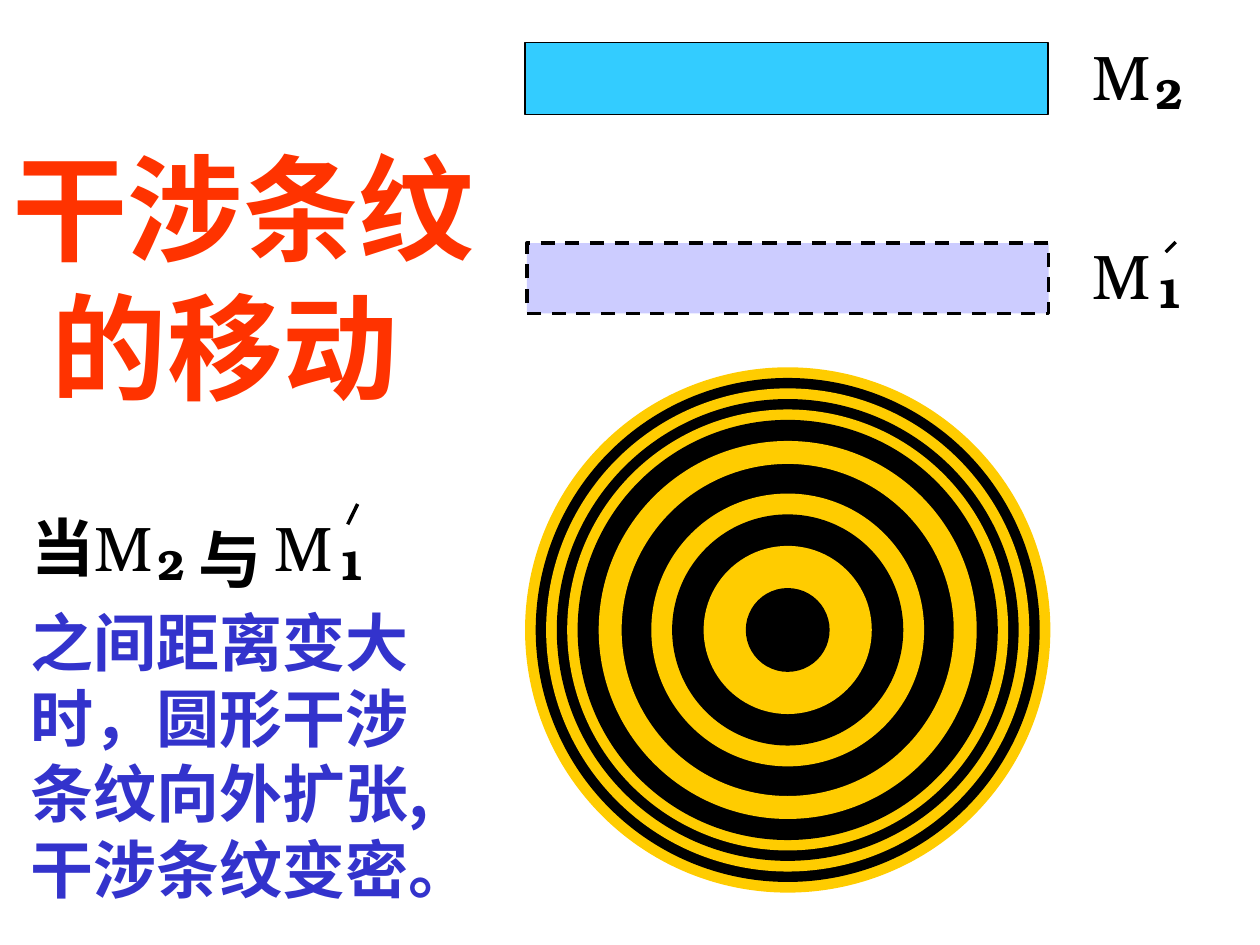
"""Build a slide on how circular interference fringes move as two mirrors separate."""
from lxml import etree
from pptx import Presentation
from pptx import util as u
from pptx.dml.color import RGBColor
from pptx.enum import dml, shapes, text
from pptx.oxml.ns import qn

COLORS = {"gold": "FFCC00", "black": "000000", "mirror": "33CCFF",
          "image": "CCCCFF", "title": "FF3300", "body": "3333CC"}
SERIF, SANS = "TeX Gyre Bonum", "Noto Sans CJK SC"

RING_CENTER = (15.88, 12.7)
RING_DIAMETERS = [10.59, 10.16, 9.74, 9.31, 8.89, 8.47, 7.62, 6.73, 5.5, 4.66, 3.39, 1.69]
OUTLINED_RING = 6.73

MIRRORS = [((10.59, 0.86, 10.54, 1.45), "mirror", 1, None),
           ((10.62, 4.9, 10.52, 1.42), "image", 2, dml.MSO_LINE.DASH)]
MIRROR_LABELS = [(21.77, 0.64, "2"), (21.77, 4.65, "1"),
                 (1.65, 10.13, "2"), (5.28, 10.13, "1")]
SUBSCRIPT_OFFSET = (1.27, 0.6)
PRIMES = [(23.7, 4.88, 23.5, 5.08), (7.21, 10.16, 7.01, 10.57)]

WORDS = [((0.38, 10.13, 1.78, 1.78), ["当"], 36, SERIF, "black"),
         ((3.76, 10.36, 1.78, 1.78), ["与"], 36, SERIF, "black"),
         ((0.36, 12.04, 9.4, 6.35),
          ["之间距离变大", "时，圆形干涉", "条纹向外扩张,", "干涉条纹变密。"], 36, SANS, "body"),
         ((0, 2.64, 9.83, 5.84), ["干涉条纹", " 的移动"], 66, SANS, "title")]

prs = Presentation()
prs.slide_width, prs.slide_height = u.Cm(25.4), u.Cm(19.05)
slide = prs.slides.add_slide(prs.slide_layouts[6])


def rgb(color):
    return RGBColor.from_string(COLORS[color])


def add_figure(kind, box, fill, line=None, width=1, dash=None):
    figure = slide.shapes.add_shape(kind, *map(u.Cm, box))
    figure.shadow.inherit = False
    figure.fill.solid()
    figure.fill.fore_color.rgb = rgb(fill)
    if line is None:
        figure.line.fill.background()
        return
    figure.line.color.rgb = rgb(line)
    figure.line.width = u.Pt(width)
    if dash:
        figure.line.dash_style = dash


def add_words(box, lines, size, font, color, bold=True):
    frame = slide.shapes.add_textbox(*map(u.Cm, box)).text_frame
    frame.word_wrap = False
    frame.auto_size = text.MSO_AUTO_SIZE.SHAPE_TO_FIT_TEXT
    for index, line in enumerate(lines):
        paragraph = frame.add_paragraph() if index else frame.paragraphs[0]
        run = paragraph.add_run()
        run.text = line
        run.font.size = u.Pt(size)
        run.font.bold = bold
        run.font.name = font
        run.font.color.rgb = rgb(color)
        properties = run.font._element
        properties.set("lang", "zh-CN")
        latin = properties.find(qn("a:latin"))
        east_asian = etree.Element(qn("a:ea"), typeface=SERIF)
        latin.addnext(east_asian)


def add_prime(ends):
    prime = slide.shapes.add_connector(shapes.MSO_CONNECTOR.STRAIGHT, *map(u.Cm, ends))
    prime.line.color.rgb = rgb("black")
    prime.line.width = u.Pt(2)
    etree.SubElement(prime._element.spPr, qn("a:effectLst"))


for index, diameter in enumerate(RING_DIAMETERS):
    left, top = (center - diameter / 2 for center in RING_CENTER)
    add_figure(shapes.MSO_SHAPE.OVAL, (left, top, diameter, diameter),
               ("gold", "black")[index % 2],
               "gold" if diameter == OUTLINED_RING else None)

for box, fill, width, dash in MIRRORS:
    add_figure(shapes.MSO_SHAPE.RECTANGLE, box, fill, "black", width, dash)

for left, top, digit in MIRROR_LABELS:
    right, down = SUBSCRIPT_OFFSET
    add_words((left, top, 1.68, 1.78), ["M"], 36, SERIF, "black", bold=False)
    add_words((left + right, top + down, 1.07, 1.27), [digit], 24, SERIF, "black")

for ends in PRIMES:
    add_prime(ends)

for words in WORDS:
    add_words(*words)

prs.save("out.pptx")
